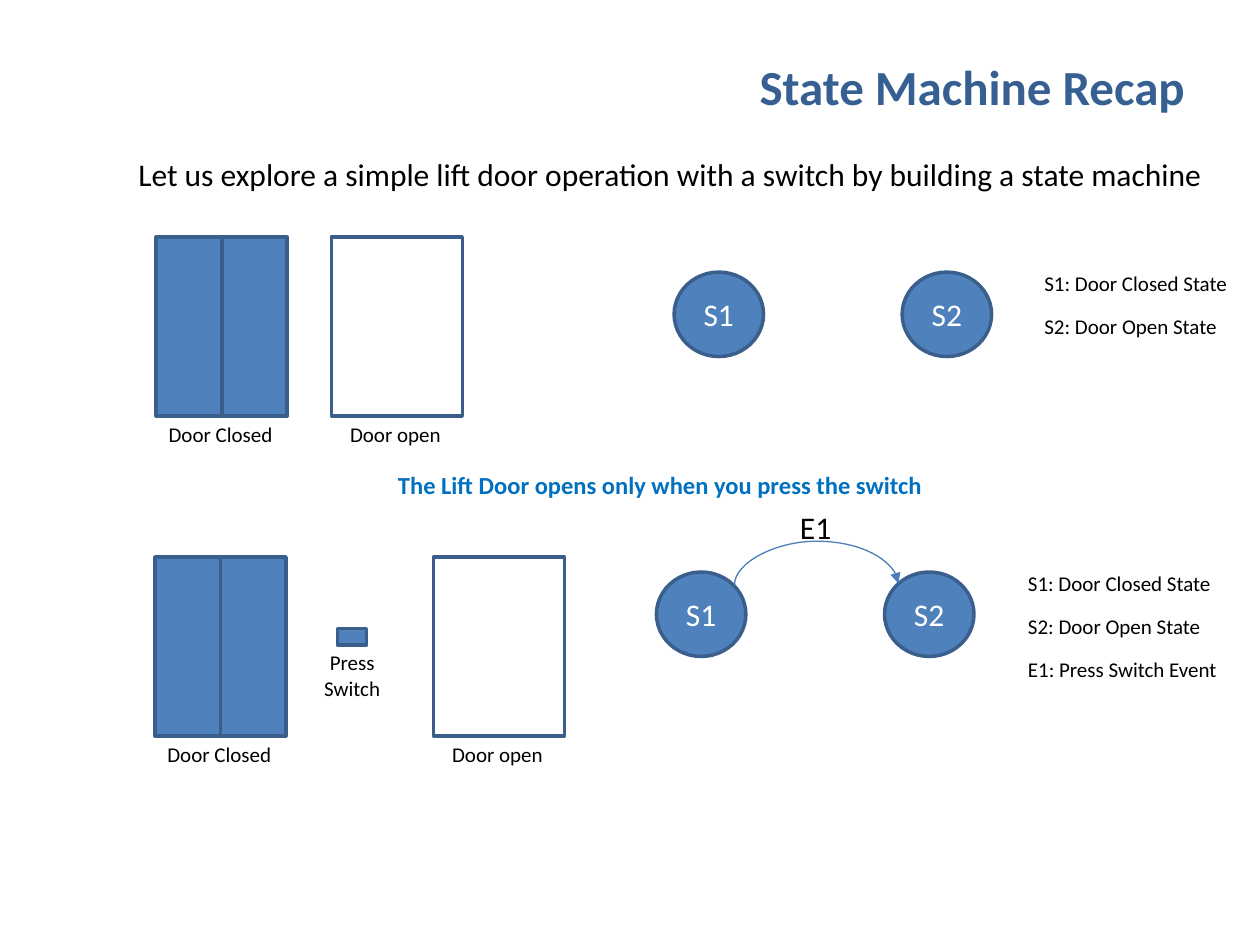
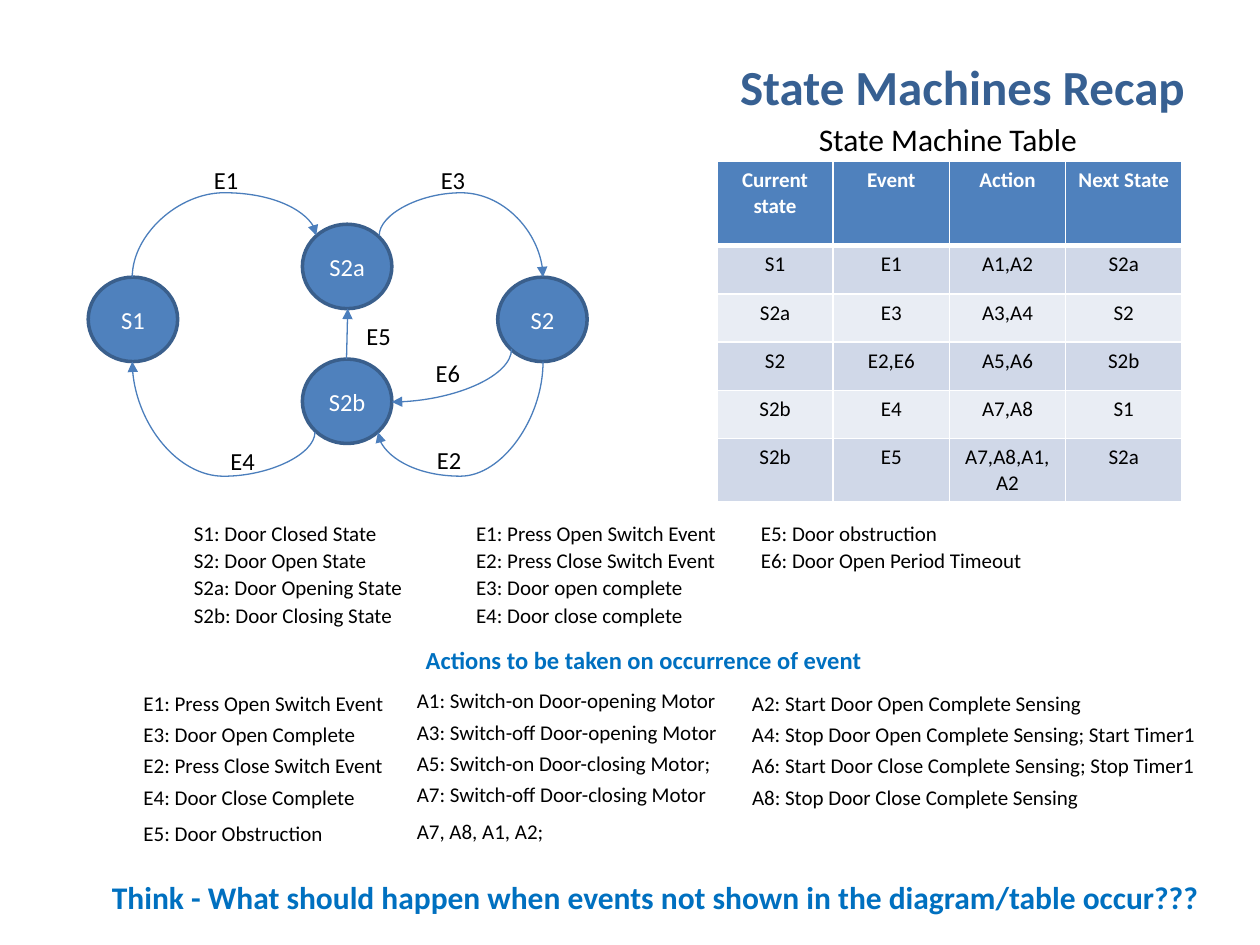
from dataclasses import dataclass
from typing import Optional

from lxml import etree
from pptx import Presentation
from pptx.dml.color import RGBColor
from pptx.enum.shapes import MSO_CONNECTOR, MSO_SHAPE
from pptx.enum.text import MSO_ANCHOR, MSO_AUTO_SIZE, PP_ALIGN
from pptx.oxml.ns import qn
from pptx.util import Inches, Pt

RECT, OVAL, BUTTON = MSO_SHAPE.RECTANGLE, MSO_SHAPE.OVAL, MSO_SHAPE.ACTION_BUTTON_CUSTOM
STRAIGHT, CURVE = MSO_CONNECTOR.STRAIGHT, MSO_CONNECTOR.CURVE
LEFT, CENTER, RIGHT = PP_ALIGN.LEFT, PP_ALIGN.CENTER, PP_ALIGN.RIGHT
MIDDLE, TOP = MSO_ANCHOR.MIDDLE, MSO_ANCHOR.TOP
FIT = MSO_AUTO_SIZE.SHAPE_TO_FIT_TEXT

COLORS = {"title": "376092", "blue": "4F81BD", "edge": "3A5F8C", "arrow": "4B7EBC",
          "accent": "0070C0", "text": "000000", "white": "FFFFFF",
          "band1": "D0D8E8", "band2": "E9EDF4"}
FONT = "Calibri"

# The slide is a grid of 100 columns by 75 rows
prs = Presentation()
prs.slide_width, prs.slide_height = Inches(10), Inches(7.5)
COL, ROW = prs.slide_width / 100, prs.slide_height / 75
LINE_ROWS = {12: 3.0, 14: 3.4, 18: 4.0}  # height of a one-line label by text size
DOOR_W, DOOR_H = 10.4, 14.2
STATE_W, STATE_H = 7.1, 6.7


@dataclass
class Label:
    text: str
    x: float
    y: float
    w: float
    size: int = 12
    color: str = "text"
    bold: bool = False
    align: PP_ALIGN = LEFT


@dataclass
class State:
    name: str
    x: float
    y: float
    size: int


@dataclass
class Arrow:
    """An arrow; bend is the row where an arc turns back."""
    x1: float
    y1: float
    x2: float
    y2: float
    bend: Optional[float] = None
    curved: bool = True


def rgb(key: str) -> RGBColor:
    return RGBColor.from_string(COLORS[key])


def box(x: float, y: float, w: float, h: float) -> tuple:
    return round(x * COL), round(y * ROW), round(w * COL), round(h * ROW)


def write(tf, text: str, size: int, color: str, bold: bool = False, align=LEFT) -> None:
    for i, line in enumerate(text.split("\n")):
        p = tf.paragraphs[0] if i == 0 else tf.add_paragraph()
        p.alignment = align
        r = p.add_run()
        r.text = line
        for key, value in {"name": FONT, "size": Pt(size), "bold": bold}.items():
            setattr(r.font, key, value)
        r.font.color.rgb = rgb(color)


def add_title(s, text: str) -> None:
    tf = s.shapes.add_textbox(*box(16.1, 3.8, 78.9, 6.1)).text_frame
    tf.word_wrap, tf.vertical_anchor = True, MIDDLE
    write(tf, text, 28, "title", True, RIGHT)


def add_label(s, lb: Label) -> None:
    h = LINE_ROWS[lb.size] + 2 * lb.text.count("\n")
    tf = s.shapes.add_textbox(*box(lb.x, lb.y, lb.w, h)).text_frame
    for key, value in {"word_wrap": False, "auto_size": FIT, "vertical_anchor": TOP}.items():
        setattr(tf, key, value)
    write(tf, lb.text, lb.size, lb.color, lb.bold, lb.align)


def add_list(s, x: float, y: float, pitch: float, items: list) -> None:
    for i, (text, w) in enumerate(items):
        add_label(s, Label(text, x, y + i * pitch, w))


def add_block(s, kind, x: float, y: float, w: float, h: float, filled: bool = True):
    sp = s.shapes.add_shape(kind, *box(x, y, w, h))
    sp.shadow.inherit = False
    if filled:
        sp.fill.solid()
        sp.fill.fore_color.rgb = rgb("blue")
    else:
        sp.fill.background()
    sp.line.color.rgb, sp.line.width = rgb("edge"), Pt(2)
    return sp


def add_doors(s, closed_x: float, open_x: float, y: float) -> None:
    for i in range(2):
        add_block(s, RECT, closed_x + i * DOOR_W / 2, y, DOOR_W / 2, DOOR_H)
    add_block(s, RECT, open_x, y, DOOR_W, DOOR_H, filled=False)
    add_label(s, Label("Door Closed", closed_x, y + DOOR_H, DOOR_W))
    add_label(s, Label("Door open", open_x + 0.5, y + DOOR_H, 9.3))


def add_state(s, st: State) -> None:
    tf = add_block(s, OVAL, st.x, st.y, STATE_W, STATE_H).text_frame
    tf.word_wrap, tf.vertical_anchor = False, MIDDLE
    write(tf, st.name, st.size, "white", align=CENTER)


def add_arrow(s, a: Arrow) -> None:
    x1, y1, x2, y2 = box(a.x1, a.y1, a.x2, a.y2)
    cx = s.shapes.add_connector(CURVE if a.curved else STRAIGHT, x1, y1, x2, y2)
    cx.line.color.rgb, cx.line.width = rgb("arrow"), Pt(0.75)
    sp_pr = cx._element.spPr
    etree.SubElement(sp_pr.find(qn("a:ln")), qn("a:tailEnd"), type="triangle")
    etree.SubElement(sp_pr, qn("a:effectLst"))
    if not a.curved:
        return
    # A quarter turn makes the curve leave vertically
    w, h = abs(y2 - y1), abs(x2 - x1)
    cx.left, cx.top = (x1 + x2 - w) // 2, (y1 + y2 - h) // 2
    cx.width, cx.height = w, h
    xfrm = sp_pr.find(qn("a:xfrm"))
    for key, value in {"rot": "5400000", "flipH": str(int(y1 > y2)),
                       "flipV": str(int(x1 < x2))}.items():
        xfrm.set(key, value)
    geom = sp_pr.find(qn("a:prstGeom"))
    if a.bend is None:
        geom.set("prst", "curvedConnector2")
    else:
        adj = round((a.bend - a.y1) / (a.y2 - a.y1) * 100000)
        etree.SubElement(geom.find(qn("a:avLst")), qn("a:gd"), name="adj1", fmla=f"val {adj}")


def set_borders(cell, bottom: float) -> None:
    tc_pr = cell._tc.get_or_add_tcPr()
    for i, (side, width) in enumerate({"L": 1, "R": 1, "T": 1, "B": bottom}.items()):
        ln = etree.Element(qn(f"a:ln{side}"), w=str(Pt(width)))
        fill = etree.SubElement(ln, qn("a:solidFill"))
        etree.SubElement(fill, qn("a:srgbClr"), val=COLORS["white"])
        tc_pr.insert(i, ln)


def add_state_table(s, rows: list, x: float, y: float, w: float, heights: list) -> None:
    n = len(rows[0])
    table = s.shapes.add_table(len(rows), n, *box(x, y, w, sum(heights))).table
    for col in table.columns:
        col.width = round(w / n * COL)
    for i, row in enumerate(rows):
        table.rows[i].height = round(heights[i] * ROW)
        head = i == 0
        for j, text in enumerate(row):
            cell = table.cell(i, j)
            cell.fill.solid()
            cell.fill.fore_color.rgb = rgb("blue" if head else "band1" if i % 2 else "band2")
            set_borders(cell, 3 if head else 1)
            write(cell.text_frame, text, 12, "white" if head else "text", head, CENTER)


def new_slide(title: str):
    s = prs.slides.add_slide(prs.slide_layouts[6])
    add_title(s, title)
    return s


# Slide 1: lift door with a switch
s = new_slide("State Machine Recap")
add_label(s, Label("Let us explore a simple lift door operation with a switch "
                   "by building a state machine", 10, 11.8, 87, 18))
add_doors(s, 12.4, 26.3, 18.8)
add_doors(s, 12.3, 34.4, 44.2)
add_block(s, BUTTON, 26.8, 49.9, 2.3, 1.3)
add_label(s, Label("Press\nSwitch", 24.7, 51.1, 6.5, align=CENTER))
add_label(s, Label("The Lift Door opens only when you press the switch",
                   30.6, 36.8, 43.9, 14, "accent", True))

# States and their legends, without and with the event
legend = [("S1: Door Closed State", 16.7), ("S2: Door Open State", 15.9)]
event = [("E1: Press Switch Event", 17.2)]
for x, y, legend_x, items in ((53.5, 21.6, 81.9, legend), (52.1, 45.4, 80.6, legend + event)):
    for i, name in enumerate(("S1", "S2")):
        add_state(s, State(name, x + i * 18.1, y, 18))
    add_list(s, legend_x, y - 0.6, 3.4, items)
add_arrow(s, Arrow(58.3, 46.4, 71.3, 46.3, 42.9))
add_label(s, Label("E1", 62.5, 39.8, 4.5, 18))

# Slide 2: full machine
s = new_slide("State Machines Recap")
for name, x, y in (("S1", 7, 22), ("S2a", 24, 17.8), ("S2", 39.5, 22), ("S2b", 24, 28.5)):
    add_state(s, State(name, x, y, 14))
for arrow in (Arrow(10.5, 22, 25.1, 18.7, 15.3), Arrow(25, 34.3, 10.5, 28.7, 37.8),
              Arrow(30.1, 18.7, 43.1, 22, 15.3), Arrow(43.1, 28.7, 30, 34.3, 37.8),
              Arrow(40.6, 27.7, 31.1, 31.9), Arrow(27.5, 28.5, 27.6, 24.5, curved=False)):
    add_arrow(s, arrow)
for name, x, y in (("E1", 16, 12.6), ("E3", 34, 12.6), ("E4", 17.3, 34.9),
                   ("E2", 33.7, 34.8), ("E5", 28.1, 25), ("E6", 33.6, 27.9)):
    add_label(s, Label(name, x, y, 4, 14))

# State table
add_label(s, Label("State Machine Table", 64, 9, 22.8, 18))
add_state_table(s, [
    ["Current state", "Event", "Action", "Next State"],
    ["S1", "E1", "A1,A2", "S2a"],
    ["S2a", "E3", "A3,A4", "S2"],
    ["S2", "E2,E6", "A5,A6", "S2b"],
    ["S2b", "E4", "A7,A8", "S1"],
    ["S2b", "E5", "A7,A8,A1,A2", "S2a"],
], 56.9, 12.8, 36.9, [6.7] + [3.83] * 5)

# Legend of states and events
for x, items in (
    (14.4, [("S1: Door Closed State", 16.7), ("S2: Door Open State", 15.9),
            ("S2a: Door Opening State", 18.7), ("S2b: Door Closing State", 17.9)]),
    (36.8, [("E1: Press Open Switch Event", 21.7), ("E2: Press Close Switch Event", 21.6),
            ("E3: Door open complete", 18.6), ("E4: Door close complete", 19)]),
    (59.4, [("E5: Door obstruction", 16.6), ("E6: Door Open Period Timeout", 23.4)]),
):
    add_list(s, x, 40.8, 2.17, items)

# Actions for each event
add_label(s, Label("Actions to be taken on occurrence of event",
                   32.8, 50.7, 36.8, 14, "accent", True))
for x, y, items in (
    (10.4, 54.3, [("E1: Press Open Switch Event", 21.7), ("E3: Door Open Complete", 19.6),
                  ("E2: Press Close Switch Event", 22.1), ("E4: Door Close Complete", 19)]),
    (32.1, 54.1, [("A1: Switch-on Door-opening Motor", 26.6),
                  ("A3: Switch-off Door-opening Motor", 26),
                  ("A5: Switch-on Door-closing Motor;", 26.1),
                  ("A7: Switch-off Door-closing Motor", 25.3)]),
    (58.7, 54.3, [("A2: Start Door Open Complete Sensing", 28.4),
                  ("A4: Stop Door Open Complete Sensing; Start Timer1", 37.6),
                  ("A6: Start Door Close Complete Sensing; Stop Timer1", 37.6),
                  ("A8: Stop Door Close Complete Sensing", 28.2)]),
    (10.4, 64.6, [("E5: Door Obstruction", 16.4)]),
    (32.1, 64.5, [("A7, A8, A1, A2;", 12.6)]),
):
    add_list(s, x, y, 2.48, items)
add_label(s, Label("Think - What should happen when events not shown in the "
                   "diagram/table occur???", 7.9, 69.2, 88.4, 18, "accent", True))

prs.save("out.pptx")
